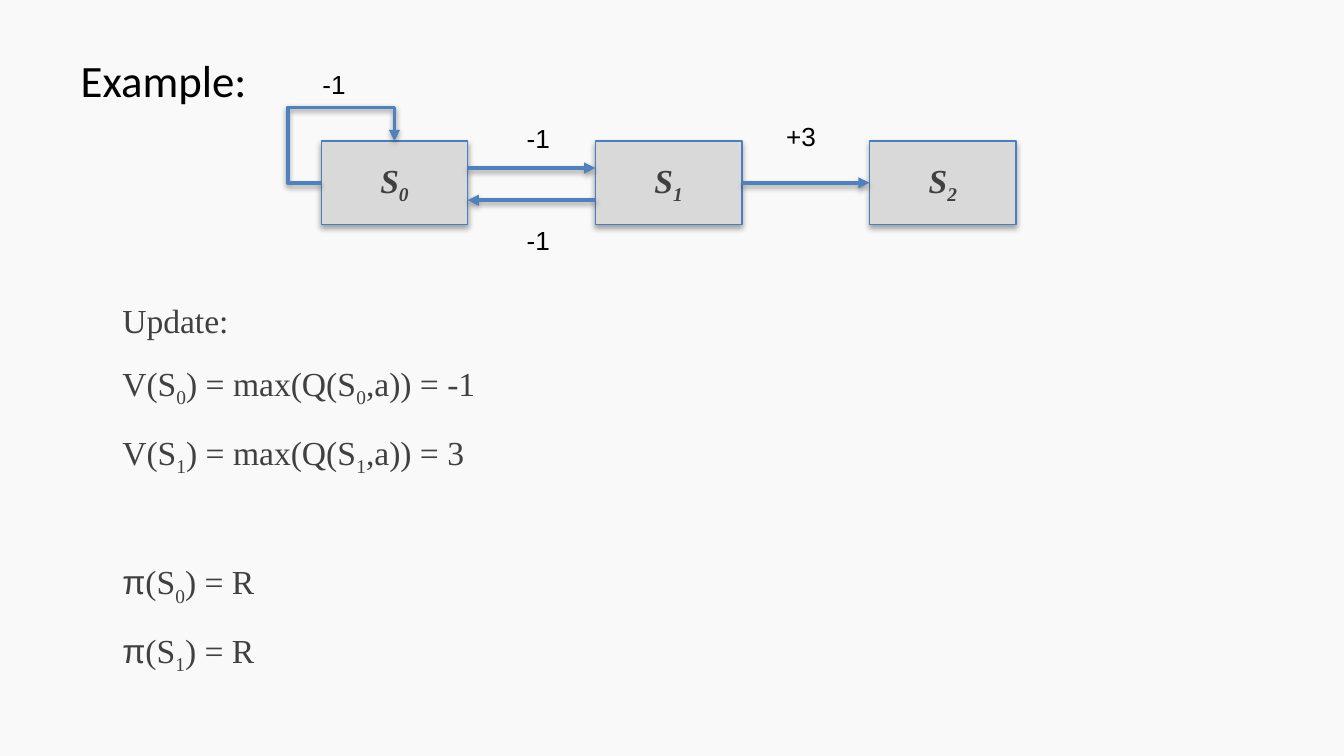
from lxml import etree
from pptx import Presentation
from pptx import util as u
from pptx.dml.color import RGBColor
from pptx.enum import shapes, text
from pptx.oxml.ns import qn

BACKGROUND = RGBColor(0xF9, 0xF9, 0xF9)
STATE_FILL = RGBColor(0xD9, 0xD9, 0xD9)
STATE_EDGE = RGBColor(0x4B, 0x7E, 0xBC)
ARROW = RGBColor(0x4F, 0x81, 0xBD)
INK = RGBColor(0x40, 0x40, 0x40)
BLACK = RGBColor(0, 0, 0)

STATE_LEFT, STATE_TOP, STATE_STEP = 2.39, 1.05, 2.04
STATE_W, STATE_H = 1.09, 0.62
STATE_MIDDLE = STATE_TOP + STATE_H / 2

REWARDS = [("-1", 2.3, 0.46, 0.38), ("-1", 3.82, 0.86, 0.38),
           ("-1", 3.82, 1.62, 0.38), ("+3", 5.75, 0.85, 0.42)]

# Each line with its space before in points; "_" marks a subscript digit
UPDATES = [("Update:", 0),
           ("V(S_0) = max(Q(S_0,a)) = -1", 0),
           ("V(S_1) = max(Q(S_1,a)) = 3", 0),
           ("π(S_0) = R", 32.5),
           ("π(S_1) = R", 0)]


def place(shape, left, top, width, height):
    shape.left, shape.top = u.Inches(left), u.Inches(top)
    shape.width, shape.height = u.Inches(width), u.Inches(height)


def style_font(font, name, size, color):
    font.name, font.size = name, u.Pt(size)
    font.color.rgb = color


def add_shadow(shape, distance, opacity):
    effects = etree.SubElement(shape._element.spPr, qn("a:effectLst"))
    shadow = etree.SubElement(effects, qn("a:outerShdw"), blurRad=str(u.Pt(3.1)),
                              dist=str(u.Pt(distance)), dir="5400000", rotWithShape="0")
    color = etree.SubElement(shadow, qn("a:srgbClr"), val="000000")
    etree.SubElement(color, qn("a:alpha"), val=str(opacity * 1000))


def add_formula(paragraph, formula):
    """Write the formula, lowering the digit after each underscore."""
    start, *rest = formula.split("_")
    if start.startswith("π"):
        pi = paragraph.add_run()
        pi.text, pi.font.name = "π", "Arial"
        start = start[1:]
    paragraph.add_run().text = start
    for part in rest:
        index = paragraph.add_run()
        index.text = part[0]
        index._r.get_or_add_rPr().set("baseline", "-25000")
        if part[1:]:
            paragraph.add_run().text = part[1:]


def add_state(slide, number):
    state = slide.shapes.add_shape(
        shapes.MSO_SHAPE.RECTANGLE, u.Inches(STATE_LEFT + number * STATE_STEP),
        u.Inches(STATE_TOP), u.Inches(STATE_W), u.Inches(STATE_H))
    state.fill.solid()
    state.fill.fore_color.rgb = STATE_FILL
    state.line.color.rgb = STATE_EDGE
    state.line.width = u.Pt(0.75)
    add_shadow(state, 1.8, 35)
    state.text_frame.vertical_anchor = text.MSO_ANCHOR.MIDDLE
    label = state.text_frame.paragraphs[0]
    label.alignment = text.PP_ALIGN.CENTER
    style_font(label.font, "Times New Roman", 18, INK)
    label.font.bold = label.font.italic = True
    add_formula(label, f"S_{number}")
    return state


def add_arrow(slide, start, end, kind=shapes.MSO_CONNECTOR.STRAIGHT):
    arrow = slide.shapes.add_connector(kind, *map(u.Inches, start + end))
    arrow.line.color.rgb = ARROW
    arrow.line.width = u.Pt(2)
    line = arrow._element.spPr.find(qn("a:ln"))
    etree.SubElement(line, qn("a:tailEnd"), type="triangle")
    add_shadow(arrow, 1.6, 38)
    return arrow


def add_self_loop(slide):
    """Arrow from the left side of the first state round to its top."""
    loop = add_arrow(slide, (STATE_LEFT, STATE_MIDDLE),
                     (STATE_LEFT + STATE_W / 2, STATE_TOP), shapes.MSO_CONNECTOR.ELBOW)
    geometry = loop._element.spPr.find(qn("a:prstGeom"))
    geometry.set("prst", "bentConnector4")
    guides = geometry.find(qn("a:avLst"))
    if guides is None:
        guides = etree.SubElement(geometry, qn("a:avLst"))
    for name, value in (("adj1", -45800), ("adj2", 180600)):
        etree.SubElement(guides, qn("a:gd"), name=name, fmla=f"val {value}")


def add_reward(slide, value, left, top, width):
    reward = slide.shapes.add_textbox(u.Inches(left), u.Inches(top),
                                      u.Inches(width), u.Inches(0.34))
    reward.text_frame.word_wrap = False
    reward.text_frame.auto_size = text.MSO_AUTO_SIZE.SHAPE_TO_FIT_TEXT
    line = reward.text_frame.paragraphs[0]
    line.text = value
    style_font(line.font, "Arial", 14, BLACK)


def fill_title(title):
    place(title, 0.5, 0.34, 8.47, 1.73)
    frame = title.text_frame
    frame.vertical_anchor = text.MSO_ANCHOR.TOP
    frame.auto_size = text.MSO_AUTO_SIZE.NONE
    heading = frame.paragraphs[0]
    heading.text = "Example:"
    heading.alignment = text.PP_ALIGN.LEFT
    style_font(heading.font, "Calibri", 24, BLACK)


def fill_updates(body):
    place(body, 0.68, 1.98, 9.14, 2.98)
    frame = body.text_frame
    frame.auto_size = text.MSO_AUTO_SIZE.NONE
    frame.margin_left = frame.margin_right = u.Inches(0.1)
    frame.margin_top = frame.margin_bottom = u.Inches(0.1)
    for number, (formula, gap) in enumerate(UPDATES):
        line = frame.add_paragraph() if number else frame.paragraphs[0]
        line.line_spacing, line.space_before = 1.5, u.Pt(gap)
        properties = line._p.get_or_add_pPr()
        properties.set("marL", str(u.Inches(0.5)))
        properties.set("indent", str(u.Inches(-0.37)))
        etree.SubElement(properties, qn("a:buNone"))
        style_font(line.font, "Times New Roman", 18, INK)
        add_formula(line, formula)


def main():
    deck = Presentation()
    deck.slide_width = u.Inches(10)
    deck.slide_height = deck.slide_width * 9 // 16
    slide = deck.slides.add_slide(deck.slide_layouts[1])
    slide.background.fill.solid()
    slide.background.fill.fore_color.rgb = BACKGROUND

    # State diagram
    first, second, goal = [add_state(slide, number) for number in range(3)]
    first_right, second_left = STATE_LEFT + STATE_W, STATE_LEFT + STATE_STEP
    add_arrow(slide, (first_right, 1.25), (second_left, 1.25))
    add_arrow(slide, (second_left, 1.49), (first_right, 1.49))
    to_goal = add_arrow(slide, (second_left + STATE_W, STATE_MIDDLE),
                        (second_left + STATE_STEP, STATE_MIDDLE))
    to_goal.begin_connect(second, 3)
    to_goal.end_connect(goal, 1)
    add_self_loop(slide)
    for reward in REWARDS:
        add_reward(slide, *reward)

    # Heading and value updates
    fill_title(slide.shapes.title)
    fill_updates(slide.placeholders[1])
    deck.save("out.pptx")


if __name__ == "__main__":
    main()
